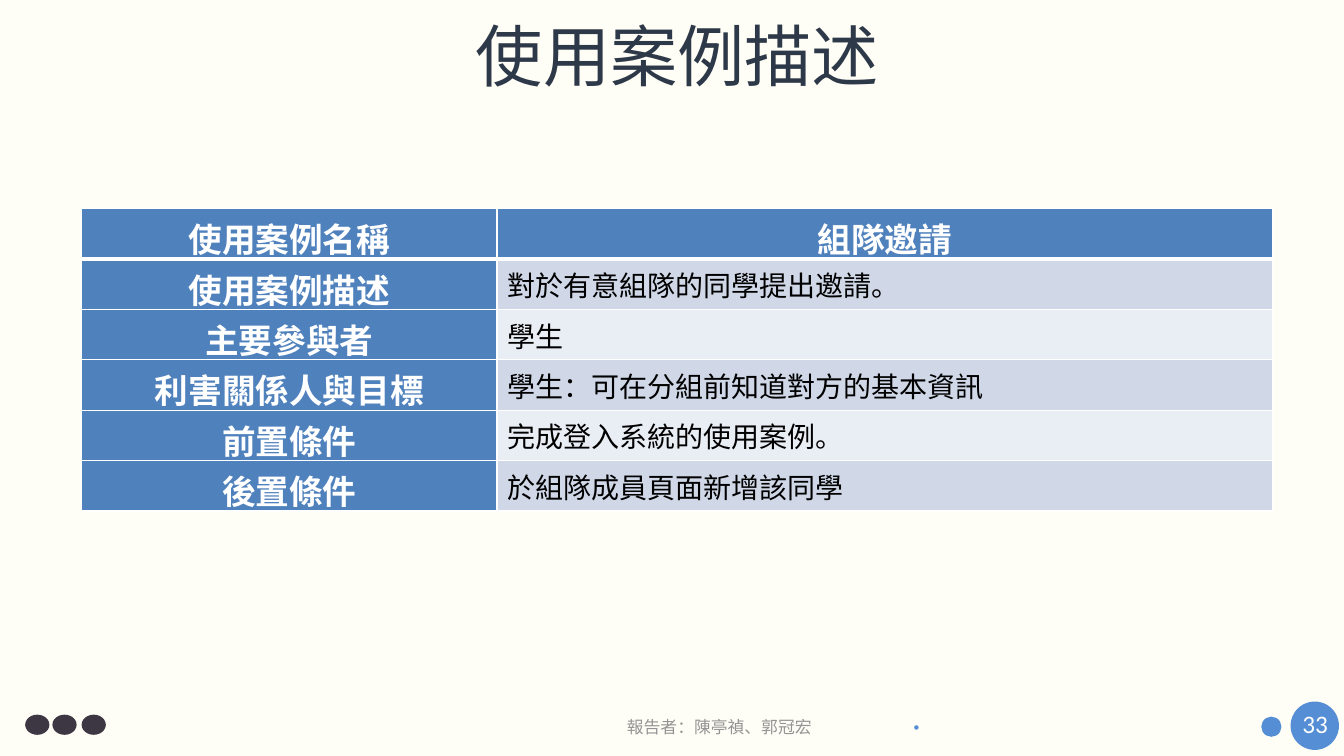
from lxml import etree
from pptx import Presentation
from pptx import util as u
from pptx.dml.color import RGBColor
from pptx.enum import shapes, text
from pptx.oxml.ns import qn

PX = 9144
CREAM = RGBColor(0xFF, 0xFE, 0xF6)
NAVY = RGBColor(0x2D, 0x38, 0x48)
GREY = RGBColor(0x94, 0x94, 0x94)
SKY = RGBColor(0x55, 0x8E, 0xD5)
PLUM = RGBColor(0x3D, 0x37, 0x43)
BLUE = RGBColor(0x4F, 0x81, 0xBD)
BAND_DARK = RGBColor(0xD0, 0xD8, 0xE8)
BAND_LIGHT = RGBColor(0xE9, 0xED, 0xF4)
WHITE = RGBColor(0xFF, 0xFF, 0xFF)
BLACK = RGBColor(0, 0, 0)
CJK = "Noto Sans CJK SC"
LATIN = "Calibri"

USE_CASE = [
    ("使用案例名稱", "組隊邀請"),
    ("使用案例描述", "對於有意組隊的同學提出邀請。"),
    ("主要參與者", "學生"),
    ("利害關係人與目標", "學生：可在分組前知道對方的基本資訊"),
    ("前置條件", "完成登入系統的使用案例。"),
    ("後置條件", "於組隊成員頁面新增該同學"),
]
COLUMN_WIDTHS = (412, 769)
ROW_HEIGHT = 50


def px(*lengths):
    return [u.Emu(length * PX) for length in lengths]


def write(frame, words, size, color, font=CJK, bold=False, centred=False):
    frame.text = words
    line = frame.paragraphs[0]
    line.alignment = text.PP_ALIGN.CENTER if centred else text.PP_ALIGN.LEFT
    for run in line.runs:
        run.font.size = u.Pt(size)
        run.font.bold = bold
        run.font.color.rgb = color
        run.font.name = font
        etree.SubElement(run.font._element, qn("a:ea")).set("typeface", font)
    return line


def add_label(slide, place, words, size, color, font=CJK, centred=False, wrap=False):
    frame = slide.shapes.add_textbox(*px(*place)).text_frame
    frame.word_wrap = wrap
    return write(frame, words, size, color, font, centred=centred)


def add_dot(slide, place, color):
    dot = slide.shapes.add_shape(shapes.MSO_SHAPE.OVAL, *px(*place))
    dot.shadow.inherit = False
    dot.fill.solid()
    dot.fill.fore_color.rgb = color
    dot.line.fill.background()


def set_borders(cell, bottom_width):
    properties = cell._tc.get_or_add_tcPr()
    widths = {"a:lnL": 1, "a:lnR": 1, "a:lnT": 1, "a:lnB": bottom_width}
    for position, (side, width) in enumerate(widths.items()):
        edge = etree.Element(qn(side), w=str(u.Pt(width)))
        fill = etree.SubElement(edge, qn("a:solidFill"))
        etree.SubElement(fill, qn("a:srgbClr"), val=str(WHITE))
        properties.insert(position, edge)


def add_use_case_table(slide):
    place = px(81, 207, sum(COLUMN_WIDTHS), ROW_HEIGHT * len(USE_CASE))
    table = slide.shapes.add_table(len(USE_CASE), len(COLUMN_WIDTHS), *place).table
    for column, width in zip(table.columns, px(*COLUMN_WIDTHS)):
        column.width = width
    for row, entries in enumerate(USE_CASE):
        for column, words in enumerate(entries):
            cell = table.cell(row, column)
            heading = row == 0 or column == 0
            cell.fill.solid()
            if heading:
                cell.fill.fore_color.rgb = BLUE
                cell.margin_bottom = px(-3)[0]
                write(cell.text_frame, words, 24, WHITE, bold=True, centred=True)
            else:
                cell.fill.fore_color.rgb = BAND_DARK if row % 2 else BAND_LIGHT
                write(cell.text_frame, words, 20, BLACK)
            set_borders(cell, 3 if row == 0 else 1)


def main():
    deck = Presentation()
    deck.slide_width, deck.slide_height = px(1333, 750)
    slide = deck.slides.add_slide(deck.slide_layouts[6])
    slide.background.fill.solid()
    slide.background.fill.fore_color.rgb = CREAM

    add_label(slide, (611, 706, 205, 30), "報告者：陳亭禎、郭冠宏", 12, GREY, centred=True)
    add_label(slide, (896, 708, 27, 25), "•", 9, SKY, LATIN)
    add_dot(slide, (1280, 696, 48, 48), SKY)
    add_dot(slide, (1251, 711, 20, 20), SKY)
    for left in (25, 52, 81):
        add_dot(slide, (left, 709, 24, 20), PLUM)

    add_use_case_table(slide)
    title = add_label(slide, (205, 18, 934, 105), "使用案例描述", 48, NAVY,
                      centred=True, wrap=True)
    title.line_spacing = 0.9
    add_label(slide, (1282, 698, 46, 40), "33", 18, WHITE, LATIN)
    deck.save("out.pptx")


if __name__ == "__main__":
    main()
